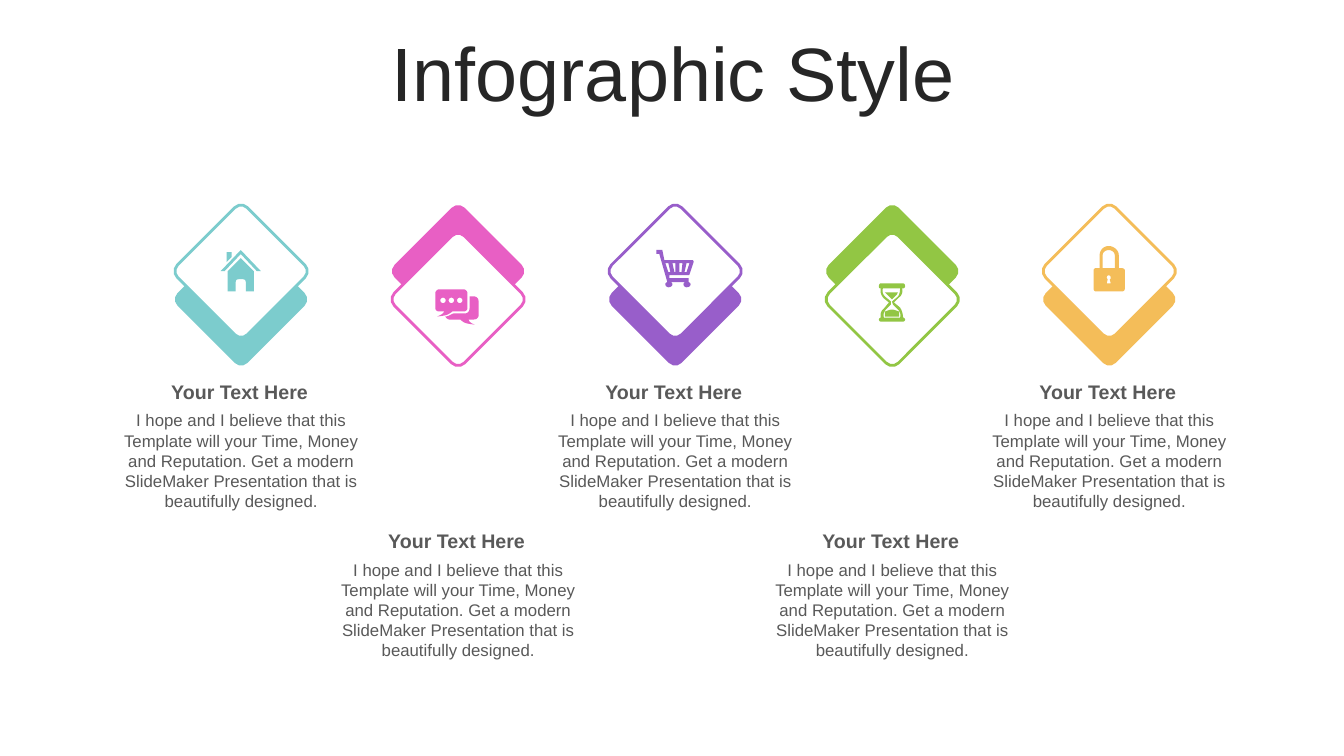
"""Build a slide of five diamond badges with icons and staggered captions."""
from dataclasses import dataclass
from math import cos, pi, sin
from typing import Any

from pptx import Presentation
from pptx.dml.color import RGBColor
from pptx.enum.shapes import MSO_SHAPE
from pptx.enum.text import MSO_ANCHOR, MSO_AUTO_SIZE, PP_ALIGN
from pptx.shapes.autoshape import Shape
from pptx.slide import Slide
from pptx.text.text import TextFrame
from pptx.util import Cm, Pt

WHITE = RGBColor(0xFF, 0xFF, 0xFF)
INK = RGBColor(0x26, 0x26, 0x26)
GREY = RGBColor(0x59, 0x59, 0x59)
TEAL = RGBColor(0x7C, 0xCC, 0xCD)
PINK = RGBColor(0xE8, 0x5F, 0xC4)
PURPLE = RGBColor(0x98, 0x5E, 0xCA)
GREEN = RGBColor(0x92, 0xC6, 0x44)
AMBER = RGBColor(0xF4, 0xBD, 0x59)

TITLE_FONT = {"name": "Arial", "size": Pt(54), "bold": False}
HEADING_FONT = {"name": "Arial", "size": Pt(14), "bold": True}
BODY_FONT = {"name": "Arial", "size": Pt(12), "bold": False}
CENTRED = {"alignment": PP_ALIGN.CENTER}
TITLE_PARA = {"alignment": PP_ALIGN.CENTER, "line_spacing": 0.9}
TITLE_FRAME = {"word_wrap": True, "vertical_anchor": MSO_ANCHOR.MIDDLE,
               "auto_size": MSO_AUTO_SIZE.NONE}
CAPTION_FRAME = {"word_wrap": True, "auto_size": MSO_AUTO_SIZE.SHAPE_TO_FIT_TEXT}

HEADING = "Your Text Here"
BODY = ("I hope and I believe that this Template will your Time, Money and Reputation. "
        "Get a modern SlideMaker Presentation that is beautifully designed.")

PITCH = 5.47
DIAMOND_LEFT, DIAMOND_SIZE = 4.83, 2.49
UPPER, LOWER = 5.59, 6.3
CAPTION_LEFT, CAPTION_TOPS = 2.79, (9.45, 13.21)
ICON_UNIT = 0.0254
FINE = 100

Contour = list[tuple[float, ...]]


def circle(x: float, y: float, radius: float) -> Contour:
    """Return points around a circle."""
    angles = [2 * pi * step / 24 for step in range(24)]
    return [(x + radius * cos(angle), y + radius * sin(angle)) for angle in angles]


HOUSE: list[Contour] = [
    [(20, 8), (33, 21), (33, 41), (25, 41), (25, 32), (25, 30, 24, 29, 22, 29), (18, 29),
     (16, 29, 15, 30, 15, 32), (15, 41), (7, 41), (7, 21)],
    [(6, 2), (11, 2), (11, 7), (6, 12)],
    [(20, 0), (40, 21), (36, 21), (20, 4), (4, 21), (0, 21)],
]
CHAT: list[Contour] = [
    *[circle(x, 11, 2.7) for x in (7.7, 16, 24.3)],
    [(34, 7), (38, 7), (41, 7, 43, 9, 43, 12), (43, 26), (43, 28, 41, 30, 38, 30), (33, 30),
     (34, 32, 34, 33, 39, 35), (31, 34, 29, 34, 25, 30), (14, 30), (13, 30, 11, 29, 10, 27),
     (13, 27, 15, 25, 18, 24), (29, 24), (32, 24, 34, 22, 34, 19)],
    [(4, 0), (28, 0), (30, 0, 32, 2, 32, 4), (32, 18), (32, 21, 30, 22, 28, 22), (17, 22),
     (12, 26, 10, 26, 2, 27), (6, 25, 7, 25, 9, 22), (4, 22), (2, 22, 0, 21, 0, 18),
     (0, 4), (0, 2, 2, 0, 4, 0)],
]
CART: list[Contour] = [
    [(30, 13), (28, 22), (30, 22), (33, 13)],
    [(23, 13), (23, 22), (25, 22), (26, 13)],
    [(16, 13), (18, 22), (19, 22), (19, 13)],
    [(9, 13), (12, 22), (14, 22), (12, 13)],
    [(6, 0), (8, 10), (35, 10), (37, 10, 37, 11, 37, 12), (33, 24), (33, 25, 32, 25, 31, 25),
     (13, 25), (13, 28), (32, 28), (32, 32), (33, 32, 34, 33, 34, 34),
     (34, 36, 32, 37, 30, 37), (29, 37, 27, 36, 27, 34), (27, 33, 28, 32, 29, 32),
     (14, 32), (15, 32, 16, 33, 16, 34), (16, 36, 14, 37, 12, 37),
     (11, 37, 9, 36, 9, 34), (9, 33, 10, 32, 11, 32), (3, 4), (0, 4), (0, 0)],
]
HOURGLASS: list[Contour] = [
    [(13, 26), (15, 26, 17, 27, 20, 28), (20, 33), (6, 33), (6, 28), (9, 27, 11, 26, 13, 26)],
    [(6, 9), (19, 9), (19, 9, 18, 10, 18, 11), (13, 16), (8, 11), (7, 10, 6, 9, 6, 9)],
    [(4, 5), (3, 8, 4, 11, 6, 13), (12, 18), (12, 21), (7, 26), (5, 28, 4, 31, 5, 34),
     (21, 34), (22, 31, 21, 28, 19, 26), (14, 21), (13, 18), (19, 13), (21, 10, 21, 7, 21, 5)],
    [(2, 0), (24, 0), (25, 0, 26, 1, 26, 3), (26, 4, 25, 5, 24, 5), (23, 5),
     (24, 8, 23, 12, 20, 14), (15, 19), (21, 24), (23, 27, 24, 31, 24, 34),
     (25, 34, 26, 35, 26, 36), (26, 37, 25, 38, 24, 38), (2, 38), (1, 38, 0, 37, 0, 36),
     (0, 35, 1, 34, 2, 34), (1, 31, 2, 27, 5, 25), (10, 19), (5, 15),
     (2, 12, 1, 8, 2, 5), (0, 5, 0, 4, 0, 3), (0, 1, 1, 0, 2, 0)],
]
PADLOCK: list[Contour] = [
    [(15, 29), (14, 29, 13, 30, 13, 31), (13, 32, 14, 33, 14, 33), (13, 37), (17, 37),
     (16, 33), (17, 33, 17, 32, 17, 31), (17, 30, 16, 29, 15, 29)],
    [(15, 4), (12, 4, 9, 6, 9, 9), (9, 22), (21, 22), (21, 9), (21, 6, 18, 4, 15, 4)],
    [(15, 0), (20, 0, 25, 4, 25, 9), (25, 22), (28, 22), (30, 22, 31, 23, 31, 24), (31, 42),
     (31, 44, 30, 45, 28, 45), (2, 45), (1, 45, 0, 44, 0, 42), (0, 24),
     (0, 23, 1, 22, 2, 22), (6, 22), (6, 9), (6, 4, 10, 0, 15, 0)],
]


@dataclass(frozen=True)
class Badge:
    """One column: its colour, its icon and the place of the icon in centimetres."""
    colour: RGBColor
    icon: list[Contour]
    icon_left: float
    icon_top: float


BADGES = [
    Badge(TEAL, HOUSE, 5.56, 6.3),
    Badge(PINK, CHAT, 10.97, 7.29),
    Badge(PURPLE, CART, 16.54, 6.3),
    Badge(GREEN, HOURGLASS, 22.15, 7.14),
    Badge(AMBER, PADLOCK, 27.56, 6.2),
]


def apply_format(target: Any, values: dict[str, Any]) -> None:
    """Set each named attribute on the target."""
    for name, value in values.items():
        setattr(target, name, value)


def write(frame: TextFrame, text: str, colour: RGBColor, frame_format: dict[str, Any],
          para_format: dict[str, Any], font_format: dict[str, Any]) -> None:
    """Fill a text frame with one formatted paragraph."""
    apply_format(frame, frame_format)
    para = frame.paragraphs[0]
    apply_format(para, para_format)
    span = para.add_run()
    span.text = text
    apply_format(span.font, font_format)
    span.font.color.rgb = colour


def paint(shape: Shape, fill: RGBColor, line: RGBColor | None = None) -> None:
    """Give a shape a solid fill and an optional outline."""
    shape.shadow.inherit = False
    shape.fill.solid()
    shape.fill.fore_color.rgb = fill
    if line is None:
        shape.line.fill.background()
    else:
        shape.line.color.rgb = line
        shape.line.width = Pt(2)


def add_diamond(page: Slide, left: float, top: float, fill: RGBColor,
                line: RGBColor | None = None) -> None:
    """Draw a rounded square standing on its corner."""
    diamond = page.shapes.add_shape(MSO_SHAPE.ROUNDED_RECTANGLE, Cm(left), Cm(top),
                                    Cm(DIAMOND_SIZE), Cm(DIAMOND_SIZE))
    diamond.adjustments[0] = 0.09
    diamond.rotation = 45
    paint(diamond, fill, line)


def flatten(contour: Contour) -> list[tuple[float, float]]:
    """Turn points and cubic curves into fine straight steps."""
    points: list[tuple[float, float]] = []
    for part in contour:
        if len(part) == 2:
            points.append((part[0] * FINE, part[1] * FINE))
            continue
        start = points[-1]
        for step in range(1, 9):
            t = step / 8
            weights = ((1 - t) ** 3, 3 * t * (1 - t) ** 2, 3 * t * t * (1 - t), t ** 3)
            x, y = (sum(weight * value for weight, value in zip(
                weights, (start[axis], *(v * FINE for v in part[axis::2])))) for axis in (0, 1))
            points.append((x, y))
    return points


def add_icon(page: Slide, badge: Badge) -> None:
    """Draw the contours of an icon as one freeform."""
    outlines = [flatten(contour) for contour in badge.icon]
    builder = page.shapes.build_freeform(*outlines[0][0], scale=Cm(ICON_UNIT) / FINE)
    for index, outline in enumerate(outlines):
        if index:
            builder.move_to(*outline[0])
        builder.add_line_segments(outline[1:], close=True)
    paint(builder.convert_to_shape(Cm(badge.icon_left), Cm(badge.icon_top)), badge.colour)


def add_caption(page: Slide, left: float, top: float) -> None:
    """Write a heading with its text below."""
    for text, offset, width, height, font in ((BODY, 0.76, 6.58, 2.82, BODY_FONT),
                                              (HEADING, 0, 6.5, 0.86, HEADING_FONT)):
        box = page.shapes.add_textbox(Cm(left), Cm(top + offset), Cm(width), Cm(height))
        write(box.text_frame, text, GREY, CAPTION_FRAME, CENTRED, font)


def main() -> None:
    """Build and save the deck."""
    deck = Presentation()
    apply_format(deck, {"slide_width": Cm(33.87), "slide_height": Cm(19.05)})
    page = deck.slides.add_slide(deck.slide_layouts[5])
    title = page.shapes.title
    apply_format(title, {"left": Cm(0.89), "top": Cm(0.94), "width": Cm(32.16), "height": Cm(2.01)})
    write(title.text_frame, "Infographic Style", INK, TITLE_FRAME, TITLE_PARA, TITLE_FONT)
    for column, badge in enumerate(BADGES):
        left = DIAMOND_LEFT + column * PITCH
        solid, outlined = (UPPER, LOWER) if column % 2 else (LOWER, UPPER)
        add_diamond(page, left, solid, badge.colour)
        add_diamond(page, left, outlined, WHITE, badge.colour)
        add_icon(page, badge)
        add_caption(page, CAPTION_LEFT + column * PITCH, CAPTION_TOPS[column % 2])
    deck.save("out.pptx")


if __name__ == "__main__":
    main()
